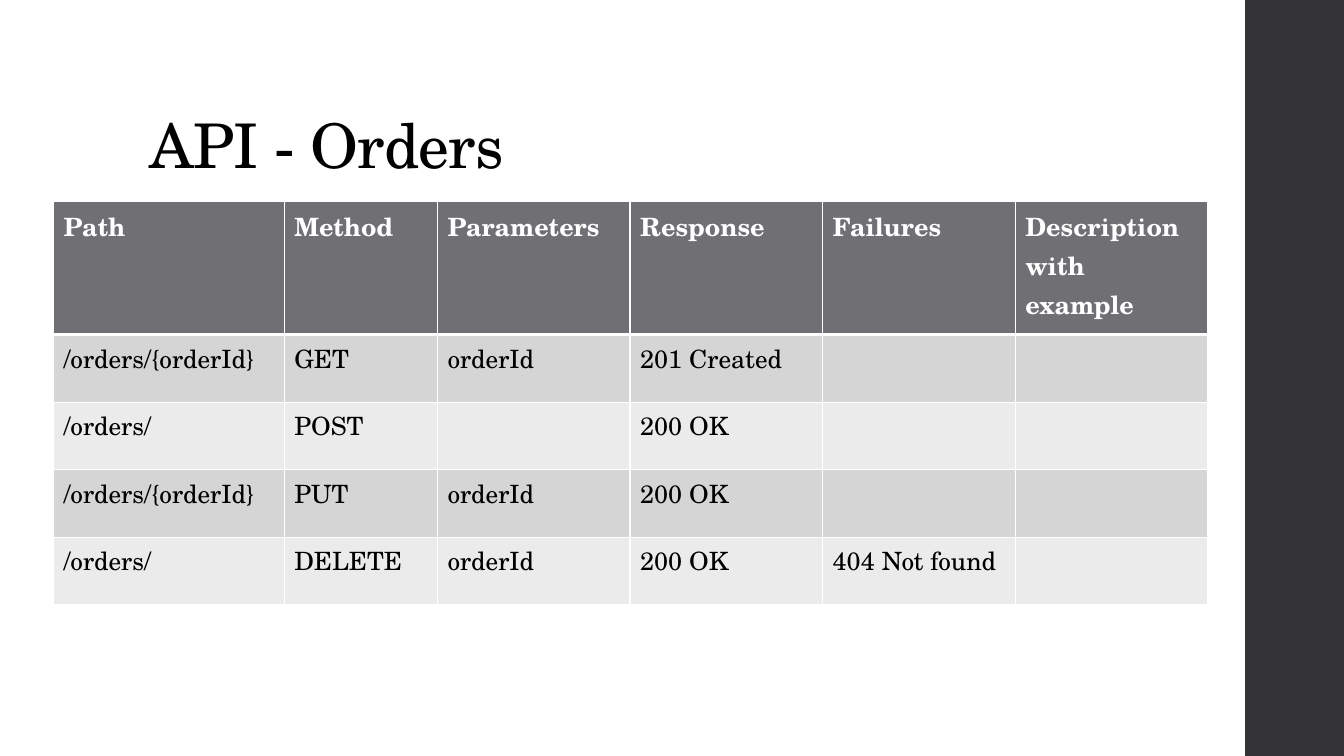
from lxml import etree
from pptx import Presentation
from pptx.dml.color import RGBColor
from pptx.enum.shapes import MSO_SHAPE
from pptx.enum.text import MSO_ANCHOR, MSO_AUTO_SIZE, PP_ALIGN
from pptx.oxml.ns import qn
from pptx.util import Inches, Pt

RECTANGLE = MSO_SHAPE.RECTANGLE
BOTTOM = MSO_ANCHOR.BOTTOM
LEFT = PP_ALIGN.LEFT
NO_AUTOFIT = MSO_AUTO_SIZE.NONE
TITLE_ONLY = 5

FONT = "TeX Gyre Schola"
COLORS = {
    "white": "FFFFFF",
    "black": "000000",
    "side_band": "353537",
    "header": "6F6F74",
    "odd_row": "D5D5D6",
    "even_row": "EBEBEB",
}

COLUMN_WIDTHS = [2.29, 1.52] + [1.91] * 4
ROW_HEIGHTS = [1.32] + [0.67] * 4
ENDPOINTS = [
    ["Path", "Method", "Parameters", "Response", "Failures", "Description with example"],
    ["/orders/{orderId}", "GET", "orderId", "201 Created", "", ""],
    ["/orders/", "POST", "", "200 OK", "", ""],
    ["/orders/{orderId}", "PUT", "orderId", "200 OK", "", ""],
    ["/orders/", "DELETE", "orderId", "200 OK", "404 Not found", ""],
]


def rgb(name):
    return RGBColor.from_string(COLORS[name])


def add_run(paragraph, text, size, color, bold=False):
    run = paragraph.add_run()
    run.text = text
    run.font.name = FONT
    run.font.size = Pt(size)
    run.font.bold = bold
    run.font.color.rgb = rgb(color)
    return run


def add_side_band(slide):
    band = slide.shapes.add_shape(RECTANGLE, Inches(12.35), 0, Inches(0.98), Inches(7.5))
    band.shadow.inherit = False
    band.fill.solid()
    band.fill.fore_color.rgb = rgb("side_band")
    band.line.fill.background()


def set_title(slide, text):
    title = slide.shapes.title
    title.left, title.top = Inches(1.38), Inches(0.4)
    title.width, title.height = Inches(10.6), Inches(1.45)
    frame = title.text_frame
    frame.auto_size = NO_AUTOFIT
    frame.word_wrap = True
    frame.vertical_anchor = BOTTOM
    paragraph = frame.paragraphs[0]
    paragraph.alignment = LEFT
    paragraph.line_spacing = 0.9
    run = add_run(paragraph, text, 44, "black")
    run.font._element.set("spc", "-50")


def set_borders(cell, widths):
    properties = cell._tc.get_or_add_tcPr()
    for index, (side, width) in enumerate(widths.items()):
        line = etree.Element(qn(f"a:ln{side}"), w=str(Pt(width)))
        fill = etree.SubElement(line, qn("a:solidFill"))
        etree.SubElement(fill, qn("a:srgbClr"), val=COLORS["white"])
        properties.insert(index, line)


def fill_cell(cell, text, row):
    is_header = row == 0
    background = "header" if is_header else "odd_row" if row % 2 else "even_row"
    cell.fill.solid()
    cell.fill.fore_color.rgb = rgb(background)
    set_borders(cell, {"L": 1, "R": 1, "T": 3 if row == 1 else 1, "B": 3 if is_header else 1})
    if text:
        color = "white" if is_header else "black"
        add_run(cell.text_frame.paragraphs[0], text, 18, color, is_header)


def add_endpoint_table(slide):
    endpoints = slide.shapes.add_table(
        len(ENDPOINTS), len(COLUMN_WIDTHS),
        Inches(0.53), Inches(2), Inches(sum(COLUMN_WIDTHS)), Inches(sum(ROW_HEIGHTS)),
    ).table
    for column, width in zip(endpoints.columns, COLUMN_WIDTHS):
        column.width = Inches(width)
    for row, height in zip(endpoints.rows, ROW_HEIGHTS):
        row.height = Inches(height)
    for row, texts in enumerate(ENDPOINTS):
        for column, text in enumerate(texts):
            fill_cell(endpoints.cell(row, column), text, row)


def main():
    presentation = Presentation()
    presentation.slide_width = Inches(13.33)
    presentation.slide_height = Inches(7.5)
    slide = presentation.slides.add_slide(presentation.slide_layouts[TITLE_ONLY])
    add_side_band(slide)
    set_title(slide, "API - Orders")
    add_endpoint_table(slide)
    presentation.save("out.pptx")


if __name__ == "__main__":
    main()
